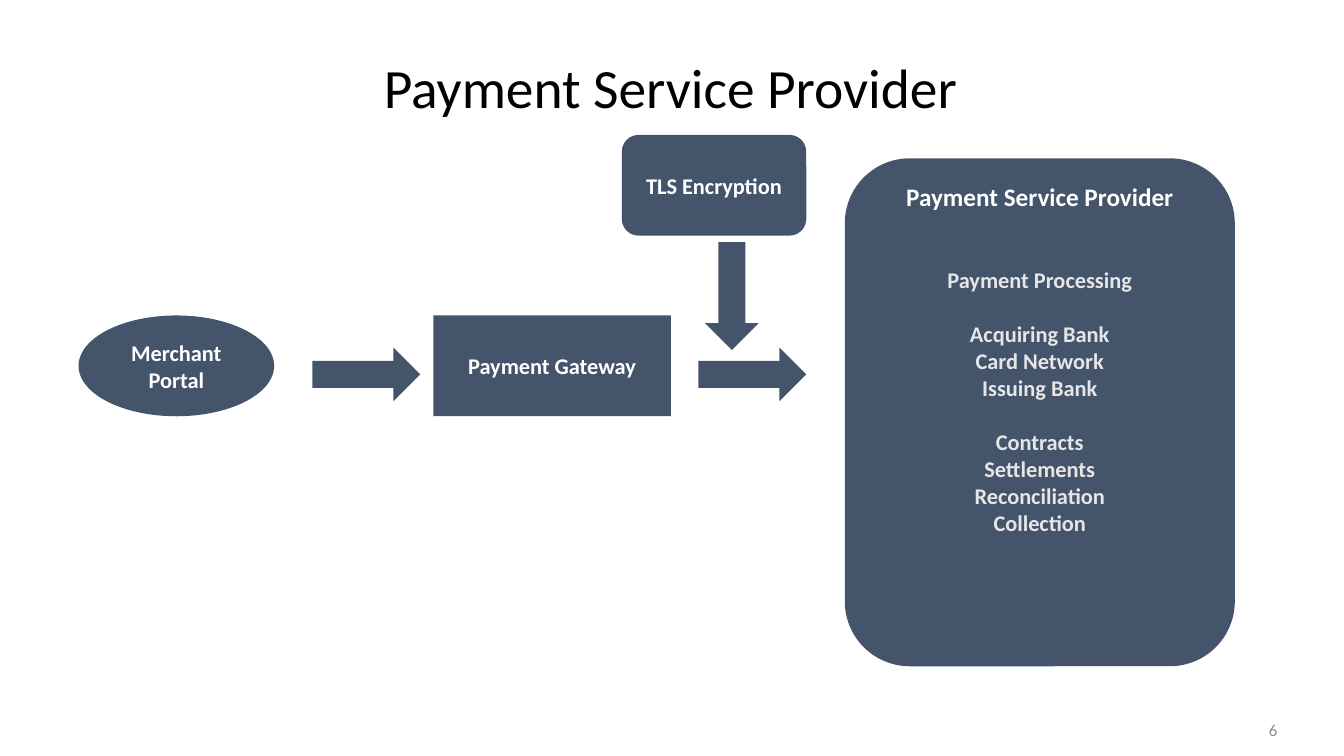
from pptx import Presentation
from pptx.dml.color import RGBColor
from pptx.enum.shapes import MSO_SHAPE
from pptx.enum.text import MSO_ANCHOR, MSO_AUTO_SIZE, PP_ALIGN
from pptx.util import Cm, Pt

SLATE = RGBColor(0x44, 0x54, 0x6A)
WHITE = RGBColor(0xFF, 0xFF, 0xFF)
PALE = RGBColor(0xE7, 0xE6, 0xE6)
BLACK = RGBColor(0x00, 0x00, 0x00)
GREY = RGBColor(0x8C, 0x8C, 0x8C)
FONT = "Calibri"

ELLIPSE = MSO_SHAPE.OVAL
RECTANGLE = MSO_SHAPE.RECTANGLE
ROUNDED = MSO_SHAPE.ROUNDED_RECTANGLE
RIGHT_ARROW = MSO_SHAPE.RIGHT_ARROW
DOWN_ARROW = MSO_SHAPE.DOWN_ARROW
TOP = MSO_ANCHOR.TOP
MIDDLE = MSO_ANCHOR.MIDDLE
CENTER = PP_ALIGN.CENTER
RIGHT = PP_ALIGN.RIGHT
NO_FIT = MSO_AUTO_SIZE.NONE

PANEL_LINE = 19.5
STEP_HEIGHT = 2.54
ARROW_LENGTH = 2.72
ARROW_WIDTH = 1.35
PROVIDER_GROUPS = [
    (2, ["Payment Processing"]),
    (1, ["Acquiring Bank", "Card Network", "Issuing Bank"]),
    (1, ["Contracts", "Settlements", "Reconciliation", "Collection"]),
]


def write_text(para, text, size=16, color=WHITE, bold=True, align=CENTER,
               space_before=0, line_spacing=1.0):
    para.alignment = align
    para.space_before = Pt(space_before)
    para.line_spacing = line_spacing
    span = para.add_run()
    span.text = text
    span.font.name = FONT
    span.font.size = Pt(size)
    span.font.bold = bold
    span.font.color.rgb = color


def set_frame(frame, anchor=MIDDLE, inset=0.1):
    frame.word_wrap = True
    frame.auto_size = NO_FIT
    frame.vertical_anchor = anchor
    frame.margin_left = frame.margin_right = Cm(inset)
    frame.margin_top = frame.margin_bottom = Cm(inset)


def add_block(page, kind, box, text=None, anchor=MIDDLE, size=16):
    block = page.shapes.add_shape(kind, *map(Cm, box))
    block.shadow.inherit = False
    block.fill.solid()
    block.fill.fore_color.rgb = SLATE
    block.line.fill.background()
    if text:
        set_frame(block.text_frame, anchor)
        write_text(block.text_frame.paragraphs[0], text, size=size)
    return block


def add_title(page, box, text):
    title = page.shapes.title
    title.left, title.top, title.width, title.height = map(Cm, box)
    set_frame(title.text_frame)
    write_text(title.text_frame.paragraphs[0], text, size=39.6, color=BLACK,
               bold=False, line_spacing=0.9)


def add_payment_flow(page, box):
    left, top, width, height = box
    right = left + width
    step_top = top + height - STEP_HEIGHT
    add_block(page, ELLIPSE, (left, step_top, 4.93, STEP_HEIGHT),
              "Merchant Portal")
    add_block(page, RECTANGLE, (left + 8.94, step_top, 5.99, STEP_HEIGHT),
              "Payment Gateway")
    for arrow_left in (left + 5.89, right - ARROW_LENGTH):
        add_block(page, RIGHT_ARROW,
                  (arrow_left, step_top + 0.81, ARROW_LENGTH, ARROW_WIDTH))
    add_block(page, ROUNDED, (right - 4.65, top, 4.65, STEP_HEIGHT),
              "TLS Encryption")
    add_block(page, DOWN_ARROW,
              (right - 2.55, top + 2.7, ARROW_WIDTH, ARROW_LENGTH))


def add_provider_panel(page, box):
    panel = add_block(page, ROUNDED, box, "Payment Service Provider",
                      anchor=TOP, size=18)
    for gap_lines, services in PROVIDER_GROUPS:
        for index, service in enumerate(services):
            gap = 0 if index else gap_lines * PANEL_LINE
            write_text(panel.text_frame.add_paragraph(), service, color=PALE,
                       space_before=gap)


def add_page_number(page, box, number):
    holder = page.shapes.add_textbox(*map(Cm, box))
    set_frame(holder.text_frame, inset=0)
    holder.text_frame.margin_right = Cm(0.25)
    write_text(holder.text_frame.paragraphs[0], number, size=12, color=GREY,
               bold=False, align=RIGHT)


def main():
    deck = Presentation()
    deck.slide_width = Cm(33.87)
    deck.slide_height = Cm(19.05)
    page = deck.slides.add_slide(deck.slide_layouts[5])
    add_title(page, (1.42, 1.42, 30.96, 1.7), "Payment Service Provider")
    add_payment_flow(page, (1.98, 3.4, 18.34, 7.09))
    add_provider_panel(page, (21.29, 3.99, 9.83, 12.8))
    add_page_number(page, (30.71, 18.14, 1.73, 0.51), "6")
    deck.save("out.pptx")


if __name__ == "__main__":
    main()
